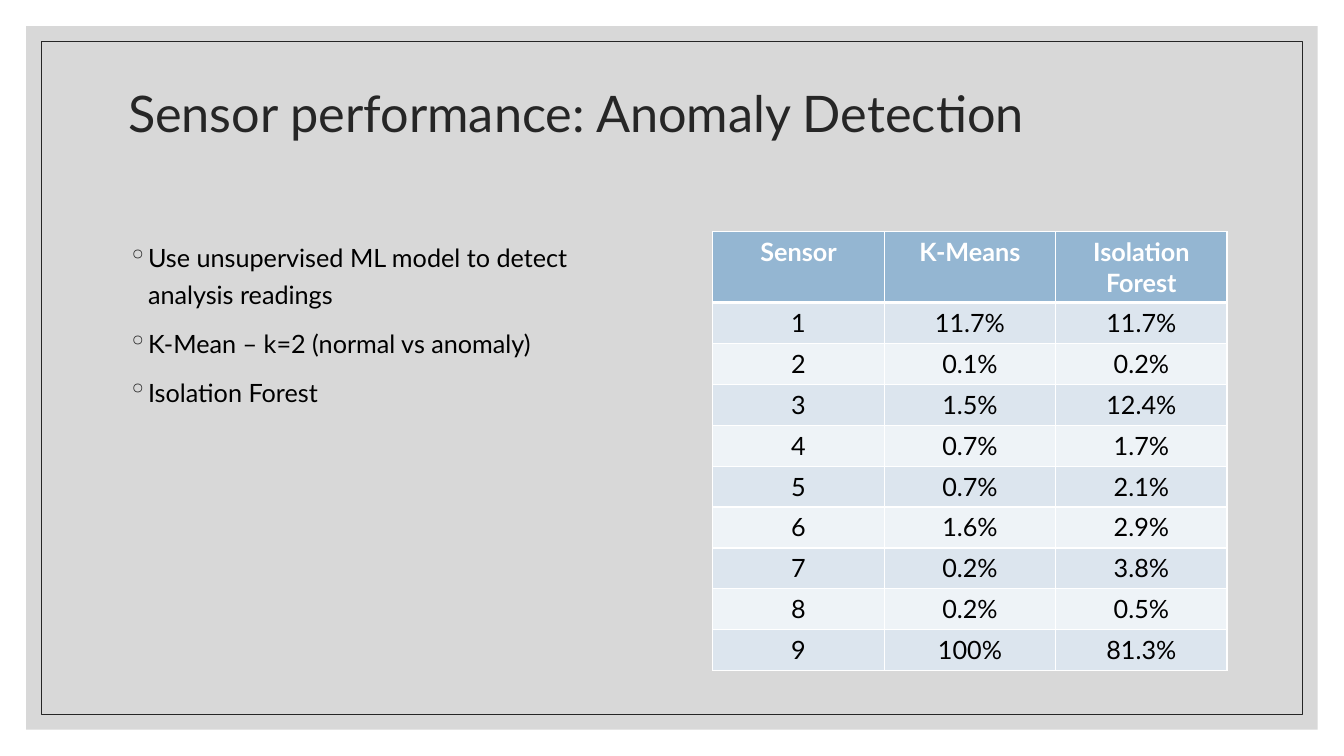
import dataclasses

import lxml.etree
import pptx
import pptx.dml.color
import pptx.enum.shapes
import pptx.enum.text
import pptx.oxml
import pptx.oxml.ns
import pptx.util

Inches = pptx.util.Inches
FONT = "Lato"
INK = "262626"
BLACK = "000000"
WHITE = "FFFFFF"
HEADER_FILL = "94B6D2"
BAND_FILLS = ("DCE5EE", "EEF3F7")

TITLE = "Sensor performance: Anomaly Detection"
POINTS = (
    "Use unsupervised ML model to detect analysis readings",
    "K-Mean – k=2 (normal vs anomaly)",
    "Isolation Forest",
)
HEADINGS = ("Sensor", "K-Means", "Isolation Forest")


@dataclasses.dataclass(frozen=True)
class Reading:
    sensor: str
    k_means: str
    isolation_forest: str


READINGS = (
    Reading("1", "11.7%", "11.7%"),
    Reading("2", "0.1%", "0.2%"),
    Reading("3", "1.5%", "12.4%"),
    Reading("4", "0.7%", "1.7%"),
    Reading("5", "0.7%", "2.1%"),
    Reading("6", "1.6%", "2.9%"),
    Reading("7", "0.2%", "3.8%"),
    Reading("8", "0.2%", "0.5%"),
    Reading("9", "100%", "81.3%"),
)


def color(value: str) -> pptx.dml.color.RGBColor:
    return pptx.dml.color.RGBColor.from_string(value)


def add_xml(parent, markup: str):
    """Append one DrawingML element, written without its namespace."""
    namespace = pptx.oxml.ns.nsdecls("a")
    tag, rest = markup.split(" ", 1)
    element = pptx.oxml.parse_xml(f"{tag} {namespace} {rest}")
    parent.append(element)
    return element


def format_runs(paragraph, size: float, ink: str, bold: bool = False) -> None:
    for span in paragraph.runs:
        span.font.name = FONT
        span.font.size = pptx.util.Pt(size)
        span.font.bold = bold
        span.font.color.rgb = color(ink)


def add_frame(page, margin: float):
    """Add a rectangle set in from every slide edge by the same margin."""
    frame = page.shapes.add_shape(
        pptx.enum.shapes.MSO_SHAPE.RECTANGLE,
        Inches(margin), Inches(margin),
        Inches(13.33 - 2 * margin), Inches(7.5 - 2 * margin),
    )
    frame.shadow.inherit = False
    return frame


def add_background(page) -> None:
    panel = add_frame(page, 0.26)
    panel.fill.solid()
    panel.fill.fore_color.rgb = color("BFBFBF")
    panel.line.fill.background()
    shade = panel._element.spPr.find(".//" + pptx.oxml.ns.qn("a:srgbClr"))
    add_xml(shade, '<a:alpha val="60000"/>')

    outline = add_frame(page, 0.41)
    outline.fill.background()
    outline.line.color.rgb = color(INK)
    outline.line.width = pptx.util.Pt(0.5)


def format_title(page) -> None:
    title = page.shapes.title
    title.left, title.top = Inches(1.17), Inches(0.7)
    title.width, title.height = Inches(11), Inches(1.5)
    frame = title.text_frame
    frame.text = TITLE
    frame.word_wrap = True
    frame.vertical_anchor = pptx.enum.text.MSO_ANCHOR.MIDDLE
    frame.margin_bottom = Inches(0.65)
    para = frame.paragraphs[0]
    para.alignment = pptx.enum.text.PP_ALIGN.LEFT
    para.line_spacing = 0.9
    format_runs(para, 36, INK)
    # Bring the title in front of the background panel
    page.shapes._spTree.append(title._element)


def add_points(page) -> None:
    box = page.shapes.add_textbox(
        Inches(1.17), Inches(2.3), Inches(5.1), Inches(4.1)
    )
    box.text_frame.word_wrap = True
    box.text_frame.text = "\n".join(POINTS)
    for para in box.text_frame.paragraphs:
        para.line_spacing = 1.2
        para.space_before = pptx.util.Pt(9)
        format_runs(para, 18, BLACK)
        properties = para._p.get_or_add_pPr()
        properties.set("marL", str(Inches(0.2)))
        properties.set("indent", str(-Inches(0.2)))
        bullet_color = add_xml(properties, '<a:buClr />')
        add_xml(bullet_color, f'<a:srgbClr val="{INK}"/>')
        add_xml(properties, '<a:buChar char="◦"/>')


def set_borders(cell, bottom: float, top: float) -> None:
    """Draw white cell borders; left and right are always 1 point."""
    properties = cell._tc.get_or_add_tcPr()
    widths = {"lnL": 1, "lnR": 1, "lnT": top, "lnB": bottom}
    for position, (side, width) in enumerate(widths.items()):
        line = add_xml(properties, f'<a:{side} w="{pptx.util.Pt(width)}"/>')
        fill = add_xml(line, '<a:solidFill />')
        add_xml(fill, f'<a:srgbClr val="{WHITE}"/>')
        properties.insert(position, line)


def add_readings(page) -> None:
    rows = [HEADINGS, *map(dataclasses.astuple, READINGS)]
    table = page.shapes.add_table(
        len(rows), len(HEADINGS),
        Inches(7.07), Inches(2.3), Inches(5.1), Inches(4.06),
    ).table
    for row_index, row in enumerate(rows):
        header = row_index == 0
        fill = HEADER_FILL if header else BAND_FILLS[(row_index - 1) % 2]
        for column_index, text in enumerate(row):
            cell = table.cell(row_index, column_index)
            cell.text = text
            cell.fill.solid()
            cell.fill.fore_color.rgb = color(fill)
            para = cell.text_frame.paragraphs[0]
            para.alignment = pptx.enum.text.PP_ALIGN.CENTER
            format_runs(para, 18, WHITE if header else BLACK, header)
            set_borders(
                cell,
                bottom=3 if header else 1,
                top=3 if row_index == 1 else 1,
            )


def main() -> None:
    deck = pptx.Presentation()
    deck.slide_width, deck.slide_height = Inches(13.33), Inches(7.5)
    page = deck.slides.add_slide(deck.slide_layouts.get_by_name("Title Only"))
    add_background(page)
    format_title(page)
    add_points(page)
    add_readings(page)
    deck.save("out.pptx")


if __name__ == "__main__":
    main()
